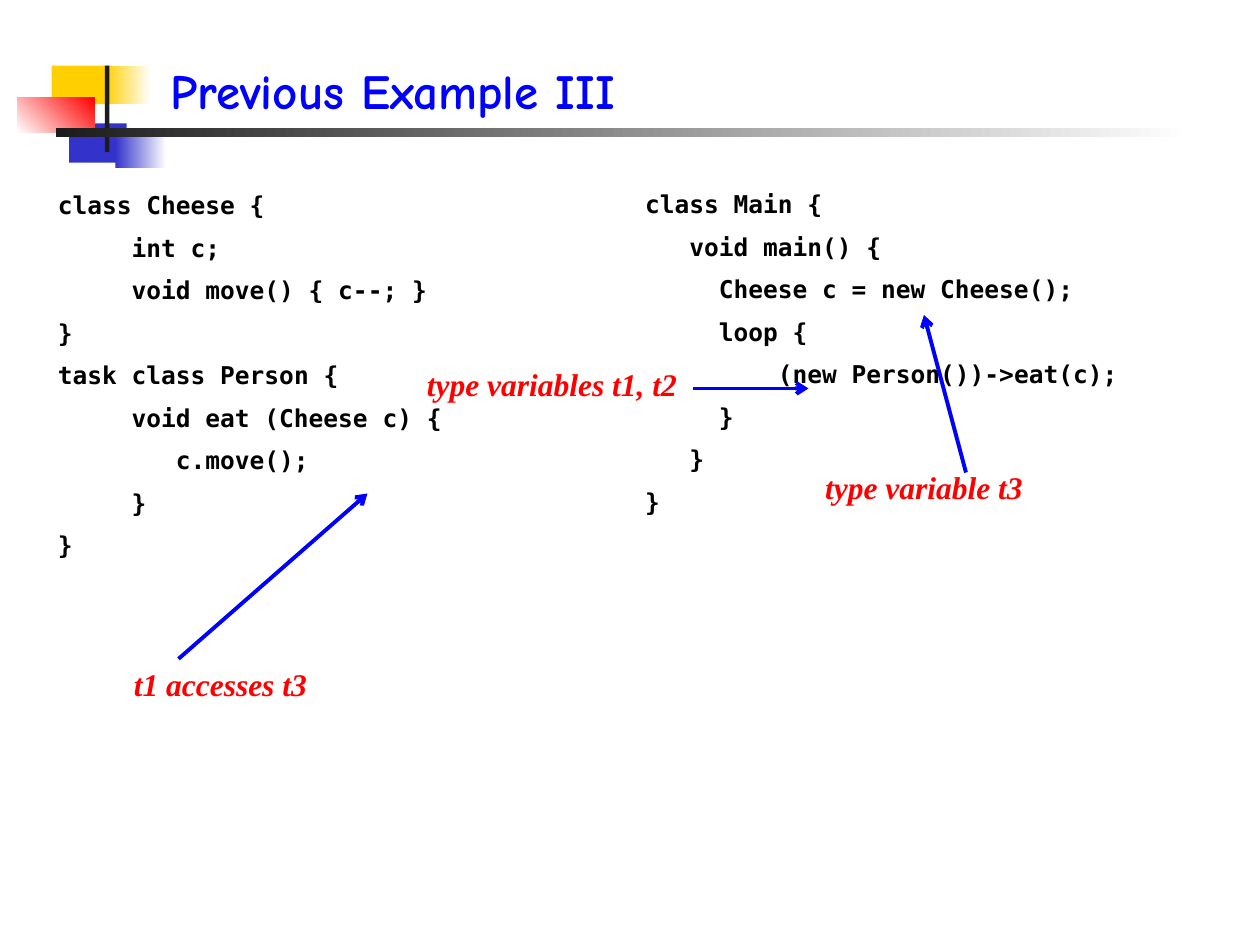
from lxml import etree
from pptx import Presentation
from pptx.dml.color import RGBColor
from pptx.enum.shapes import MSO_CONNECTOR, MSO_SHAPE
from pptx.enum.text import MSO_ANCHOR, MSO_AUTO_SIZE, PP_ALIGN
from pptx.oxml.ns import qn
from pptx.util import Pt

RECTANGLE = MSO_SHAPE.RECTANGLE
STRAIGHT = MSO_CONNECTOR.STRAIGHT
TOP, BOTTOM = MSO_ANCHOR.TOP, MSO_ANCHOR.BOTTOM
LEFT, CENTER = PP_ALIGN.LEFT, PP_ALIGN.CENTER
GROW = MSO_AUTO_SIZE.SHAPE_TO_FIT_TEXT

COLORS = {
    "white": "FFFFFF", "black": "000000", "charcoal": "1C1C1C",
    "yellow": "FFCF01", "indigo": "3333CC", "red": "FF0000", "blue": "0000FF",
}
FORMATS = {
    "title": {"name": "Comic Neue", "size": Pt(28), "bold": True},
    "code": {"name": "DejaVu Sans Mono", "size": Pt(14), "bold": True},
    "note": {"name": "Times New Roman", "size": Pt(18), "bold": True, "italic": True},
}
TEXT_COLORS = {"title": "blue", "code": "black", "note": "red"}
CODE_CHAR = 8.43
CODE_GAP = 7.5

ORNAMENTS = [
    ((29.5, 37.5, 34.5, 22), ["yellow"], 0),
    ((60, 37.5, 26, 22), ["yellow", "white"], 0),
    ((39.5, 70.5, 33, 22.5), ["indigo"], 0),
    ((66, 73.5, 29, 22.5), ["indigo", "white"], 0),
    ((10, 55.5, 44, 20), ["white", "red"], 45),
    ((60, 37.5, 2.5, 49.5), ["charcoal"], 0),
    ((32, 73, 648, 5.5), ["charcoal", "white"], 0),
]
MAIN_CODE = [
    (0, "class Main {"),
    (3, "void main() {"),
    (5, "Cheese c = new Cheese();"),
    (5, "loop {"),
    (9, "(new Person())->eat(c);"),
    (5, "}"),
    (3, "}"),
    (0, "}"),
]
CHEESE_CODE = [
    (0, "class Cheese {"),
    (5, "int c;"),
    (5, "void move() { c--; }"),
    (0, "}"),
    (0, "task class Person {"),
    (5, "void eat (Cheese c) {"),
    (8, "c.move();"),
    (5, "}"),
    (0, "}"),
]
CALLOUTS = [
    ("type variables t1, t2", (217.5, 205, 196, 29), (396, 222, 462, 222)),
    ("type variable t3", (366, 264, 324, 29), (552, 270, 528, 180)),
    ("t1 accesses t3", (-36, 376.5, 324, 62), (102, 376.5, 210, 282)),
]


class SlideBuilder:
    """Draws styled elements on one slide, with lengths in points."""

    def __init__(self, slide):
        self.slide = slide

    def color(self, name):
        return RGBColor.from_string(COLORS[name])

    def ornament(self, box, colors, angle):
        block = self.slide.shapes.add_shape(RECTANGLE, *map(Pt, box))
        block.shadow.inherit = False
        block.line.fill.background()
        if len(colors) == 1:
            block.fill.solid()
            block.fill.fore_color.rgb = self.color(colors[0])
            return
        block.fill.gradient()
        block.fill.gradient_angle = angle
        for stop, name in zip(block.fill.gradient_stops, colors):
            stop.color.rgb = self.color(name)

    def text(self, shapes, box, lines, style, align=LEFT, anchor=TOP, wrap=True):
        frame = shapes.add_textbox(*map(Pt, box)).text_frame
        settings = {"word_wrap": wrap, "vertical_anchor": anchor}
        if anchor == TOP:
            settings["auto_size"] = GROW
        for key, value in settings.items():
            setattr(frame, key, value)
        for index, (indent, line) in enumerate(lines):
            paragraph = frame.add_paragraph() if index else frame.paragraphs[0]
            paragraph.alignment = align
            if index:
                paragraph.space_before = Pt(CODE_GAP)
            if indent:
                margin = Pt(indent * CODE_CHAR)
                paragraph._p.get_or_add_pPr().set("marL", str(int(margin)))
            run = paragraph.add_run()
            run.text = line
            for key, value in FORMATS[style].items():
                setattr(run.font, key, value)
            run.font.color.rgb = self.color(TEXT_COLORS[style])

    def title(self, box, wording):
        self.text(self.slide.shapes, box, [(0, wording)], "title", anchor=BOTTOM)

    def code(self, box, lines):
        self.text(self.slide.shapes, box, lines, "code", wrap=False)

    def arrow(self, shapes, ends):
        pointer = shapes.add_connector(STRAIGHT, *map(Pt, ends))
        pointer.line.color.rgb = self.color("blue")
        pointer.line.width = Pt(2.25)
        outline = pointer.line._get_or_add_ln()
        etree.SubElement(outline, qn("a:tailEnd"), type="arrow")
        etree.SubElement(pointer._element.spPr, qn("a:effectLst"))

    def callout(self, wording, box, ends):
        shapes = self.slide.shapes.add_group_shape().shapes
        self.text(shapes, box, [(0, wording)], "note", align=CENTER)
        self.arrow(shapes, ends)


def main():
    deck = Presentation()
    deck.slide_width, deck.slide_height = Pt(720), Pt(540)
    builder = SlideBuilder(deck.slides.add_slide(deck.slide_layouts[6]))
    for box, colors, angle in ORNAMENTS:
        builder.ornament(box, colors, angle)
    builder.title((90.5, 18, 613.5, 54), "Previous Example III")
    builder.code((361.5, 104.5, 286, 227.5), MAIN_CODE)
    builder.code((26, 105, 235.5, 253.5), CHEESE_CODE)
    for wording, box, ends in CALLOUTS:
        builder.callout(wording, box, ends)
    deck.save("out.pptx")


if __name__ == "__main__":
    main()
